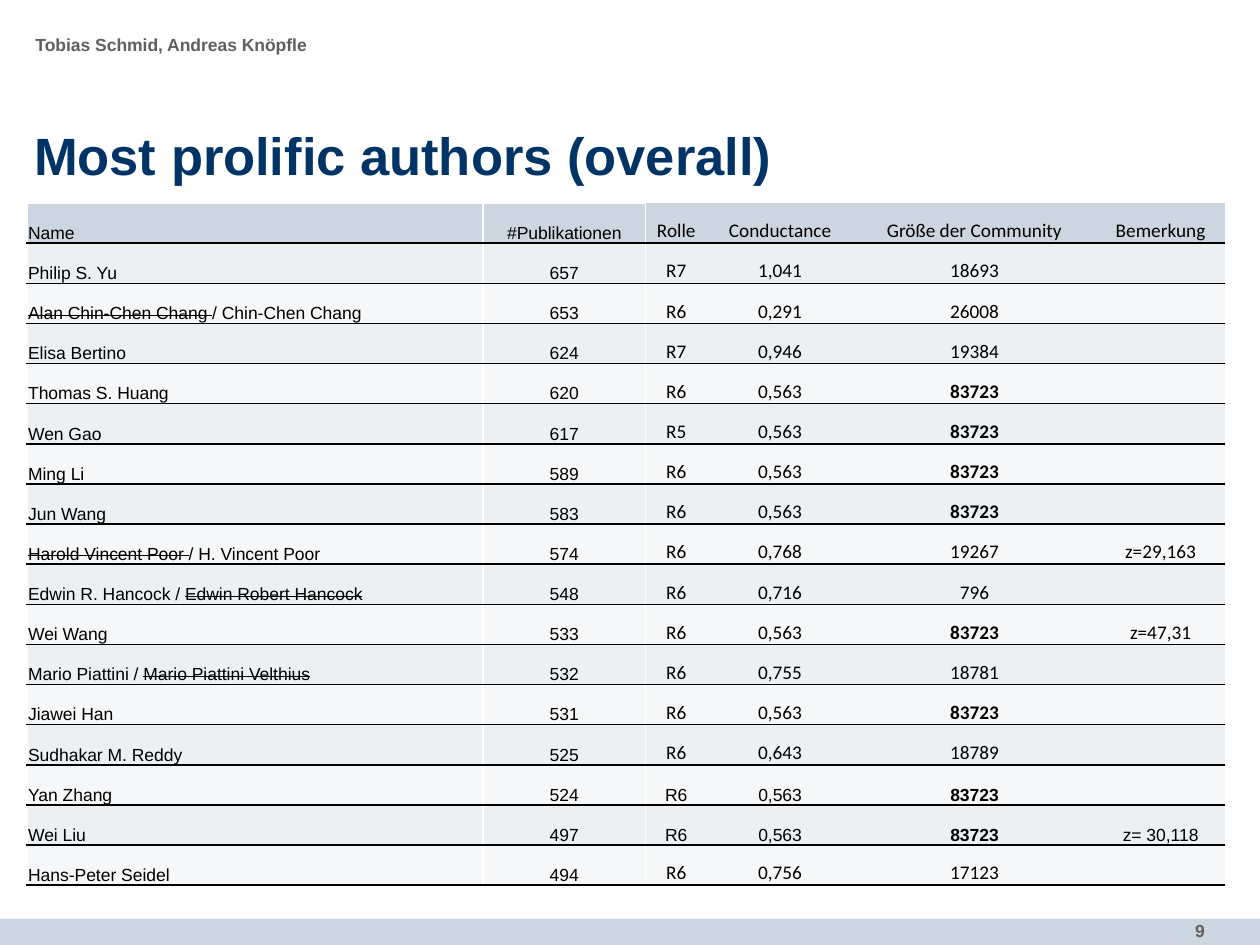
from lxml.etree import SubElement as Sub
from pptx import Presentation as Deck
from pptx.dml.color import RGBColor as Color
from pptx.enum.shapes import MSO_SHAPE as Shape
from pptx.enum.text import MSO_ANCHOR as Anchor, MSO_AUTO_SIZE as Auto, PP_ALIGN as Align
from pptx.oxml.ns import qn
from pptx.util import Pt

NAVY = Color(0x00, 0x33, 0x66)
GREY = Color(0x5F, 0x5F, 0x5F)
STEEL = Color(0xCC, 0xD6, 0xE0)
MIST = Color(0xEC, 0xF0, 0xF3)
PALE = Color(0xF6, 0xF7, 0xF9)
BLACK = Color(0, 0, 0)
WHITE = Color(255, 255, 255)

PLAIN = "{2D5ABB26-0587-4C30-8999-92F81FD0307C}"
WIDTHS = (260.6, 92.9, 35.2, 83.4, 138.8, 74)
HIGH = 22.96
HEAD = ("Name", "#Publikationen", "Rolle", "Conductance", "Größe der Community", "Bemerkung")
ROWS = (
    ("Philip S. Yu", "657", "R7", "1,041", "18693", ""),
    ("~Alan Chin-Chen Chang ~/ Chin-Chen Chang", "653", "R6", "0,291", "26008", ""),
    ("Elisa Bertino", "624", "R7", "0,946", "19384", ""),
    ("Thomas S. Huang", "620", "R6", "0,563", "83723", ""),
    ("Wen Gao", "617", "R5", "0,563", "83723", ""),
    ("Ming Li", "589", "R6", "0,563", "83723", ""),
    ("Jun Wang", "583", "R6", "0,563", "83723", ""),
    ("~Harold Vincent Poor ~/ H. Vincent Poor", "574", "R6", "0,768", "19267", "z=29,163"),
    ("Edwin R. Hancock / ~Edwin Robert Hancock~", "548", "R6", "0,716", "796", ""),
    ("Wei Wang", "533", "R6", "0,563", "83723", "z=47,31"),
    ("Mario Piattini / ~Mario Piattini Velthius~", "532", "R6", "0,755", "18781", ""),
    ("Jiawei Han", "531", "R6", "0,563", "83723", ""),
    ("Sudhakar M. Reddy", "525", "R6", "0,643", "18789", ""),
    ("Yan Zhang", "524", "R6", "0,563", "83723", ""),
    ("Wei Liu", "497", "R6", "0,563", "83723", "z= 30,118"),
    ("Hans-Peter Seidel", "494", "R6", "0,756", "17123", ""),
)
LARGEST = "83723"
ARIAL_ROWS = ("Yan Zhang", "Wei Liu")


class Page:
    """Draws styled elements on one slide, with lengths in points."""

    arial = {"name": "Arial", "size": Pt(10), "bold": False}
    strong = {**arial, "bold": True}
    title = {**strong, "size": Pt(30)}
    serial = {"name": "Calibri", "size": Pt(11), "bold": False}

    def __init__(self, slide):
        self.slide = slide

    def runs(self, para, words, style, color=BLACK):
        for i, part in enumerate(words.split("~")):
            if not part:
                continue
            run = para.add_run()
            run.text = part
            for key, value in style.items():
                setattr(run.font, key, value)
            run.font.color.rgb = color
            if i % 2:
                run._r.get_or_add_rPr().set("strike", "sngStrike")
        if not words:
            Sub(para._p, qn("a:endParaRPr"), sz=str(int(style["size"].pt * 100)))

    def bar(self, box, color):
        bar = self.slide.shapes.add_shape(Shape.RECTANGLE, *map(Pt, box))
        bar.shadow.inherit = False
        bar.fill.solid()
        bar.fill.fore_color.rgb = color
        bar.line.fill.background()

    def text(self, box, words, style, color, frame, para):
        body = self.slide.shapes.add_textbox(*map(Pt, box)).text_frame
        for key, value in {"word_wrap": True, **frame}.items():
            setattr(body, key, value)
        line = body.paragraphs[0]
        for key, value in para.items():
            setattr(line, key, value)
        self.runs(line, words, style, color)

    def edge(self, cell, side, color):
        line = Sub(cell._tc.get_or_add_tcPr(), qn("a:ln" + side), w=str(Pt(1)))
        Sub(Sub(line, qn("a:solidFill")), qn("a:srgbClr"), val=str(color))

    def cell(self, cell, words, style, fill, edges, align):
        look = {"vertical_anchor": Anchor.BOTTOM, "margin_left": Pt(0.7),
                "margin_right": Pt(0.7), "margin_top": Pt(0.7), "margin_bottom": 0}
        for key, value in look.items():
            setattr(cell, key, value)
        for side, color in edges.items():
            self.edge(cell, side, color)
        cell.fill.solid()
        cell.fill.fore_color.rgb = fill
        para = cell.text_frame.paragraphs[0]
        para.alignment = align
        self.runs(para, words, style)

    def table(self, left, top, head, rows):
        data = (head, *rows)
        size = (left, top, sum(WIDTHS), HIGH * len(data))
        table = self.slide.shapes.add_table(len(data), len(head), *map(Pt, size)).table
        table._tbl.tblPr.find(qn("a:tableStyleId")).text = PLAIN
        table.first_row = table.horz_banding = False
        for col, width in zip(table.columns, WIDTHS):
            col.width = Pt(width)
        for r, row in enumerate(data):
            table.rows[r].height = Pt(HIGH)
            fill = (MIST if r % 2 else PALE) if r else STEEL
            for c, words in enumerate(row):
                edges = {"L": WHITE} if c < 2 else {}
                if c == 0:
                    edges["R"] = WHITE
                if r or c < 2:
                    edges["T"] = BLACK if r else WHITE
                edges["B"] = BLACK
                style = self.arial if c < 2 or row[0] in ARIAL_ROWS else self.serial
                style = {**style, "bold": words == LARGEST}
                align = Align.CENTER if c else Align.LEFT
                self.cell(table.cell(r, c), words, style, fill, edges, align)


def main():
    deck = Deck()
    deck.slide_width, deck.slide_height = Pt(720), Pt(540)
    page = Page(deck.slides.add_slide(deck.slide_layouts[6]))
    flush = dict.fromkeys(("margin_left", "margin_top", "margin_right", "margin_bottom"), 0)
    page.bar((0, 525, 720, 15), STEEL)
    page.text((599, 522, 96.5, 18.7), "9", page.strong, GREY, {}, {"alignment": Align.RIGHT})
    page.text((20.3, 23, 340.6, 8), "Tobias Schmid, Andreas Knöpfle", page.strong, GREY,
              {**flush, "auto_size": Auto.SHAPE_TO_FIT_TEXT}, {"line_spacing": 0.65})
    page.text((19.5, 74, 680.5, 34), "Most prolific authors (overall)", page.title, NAVY,
              {**flush, "vertical_anchor": Anchor.MIDDLE}, {"line_spacing": 0.85})
    page.table(15.4, 116, HEAD, ROWS)
    deck.save("out.pptx")


if __name__ == "__main__":
    main()
